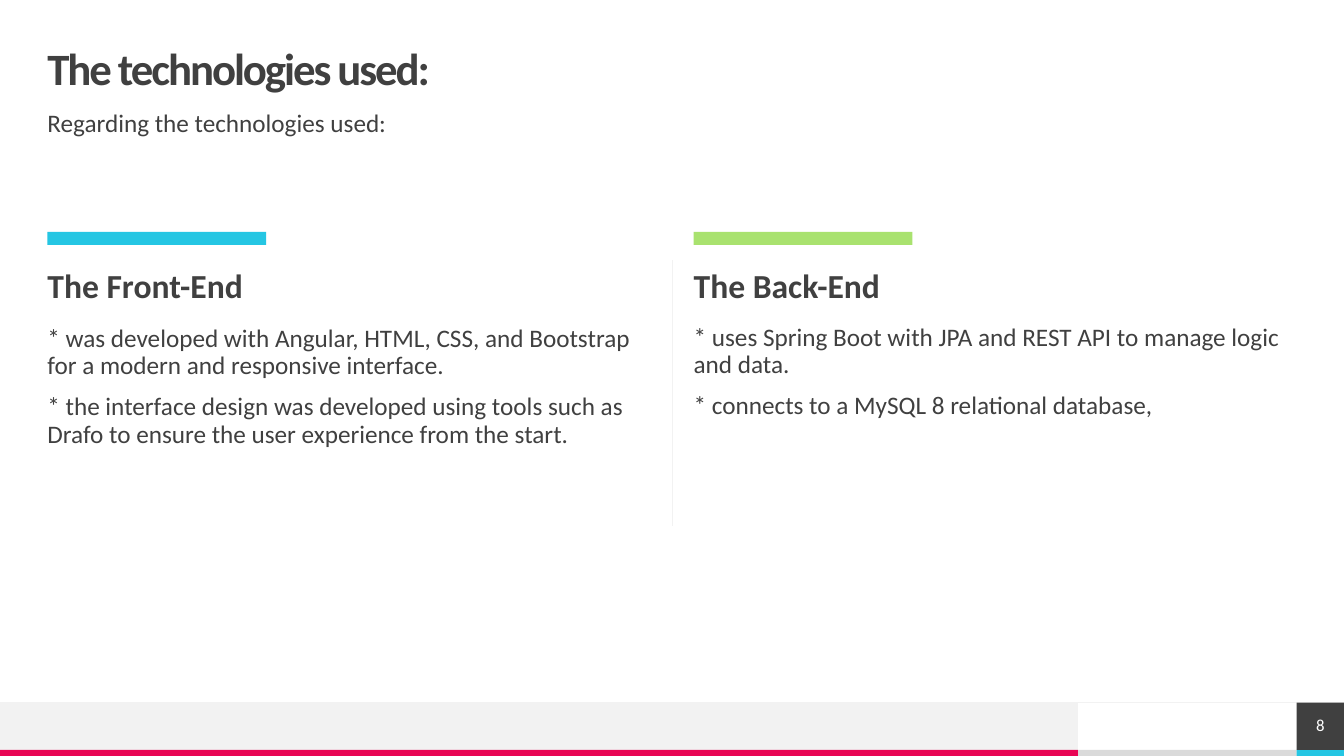
import pptx
import pptx.util
import pptx.dml.color
import pptx.enum.shapes
import pptx.enum.text
import pptx.oxml

Inches = pptx.util.Inches
Pt = pptx.util.Pt
RGBColor = pptx.dml.color.RGBColor

DARK = RGBColor(0x40, 0x40, 0x40)
WHITE = RGBColor(0xFF, 0xFF, 0xFF)
PALE = RGBColor(0xF2, 0xF2, 0xF2)
GREY = RGBColor(0xDA, 0xDA, 0xDA)
PINK = RGBColor(0xE8, 0x05, 0x54)
CYAN = RGBColor(0x25, 0xC6, 0xE3)
GREEN = RGBColor(0xA9, 0xE2, 0x6F)

WIDTH, HEIGHT = 13.33, 7.5
MARGIN = 0.47
CONTENT_WIDTH = WIDTH - 2 * MARGIN
COLUMN_WIDTH = 5.98
COLUMN_STEP = CONTENT_WIDTH - COLUMN_WIDTH
ACCENT_WIDTH = 2.17
STRIPE_HEIGHT = 0.06
STRIPE_TOP = HEIGHT - STRIPE_HEIGHT
FOOTER_TOP = STRIPE_TOP - MARGIN
NUMBER_LEFT = WIDTH - MARGIN
LOGO_LEFT = NUMBER_LEFT - ACCENT_WIDTH

presentation = pptx.Presentation()
presentation.slide_width = Inches(WIDTH)
presentation.slide_height = Inches(HEIGHT)
slide = presentation.slides.add_slide(presentation.slide_layouts[5])
shapes = slide.shapes


def add_bar(left, top, width, height, color):
    bar = shapes.add_shape(
        pptx.enum.shapes.MSO_SHAPE.RECTANGLE,
        Inches(left), Inches(top), Inches(width), Inches(height))
    bar.shadow.inherit = False
    bar.fill.solid()
    bar.fill.fore_color.rgb = color
    bar.line.fill.background()
    return bar


def write(shape, lines, size, color=DARK, bold=False,
          anchor=pptx.enum.text.MSO_ANCHOR.TOP,
          alignment=pptx.enum.text.PP_ALIGN.LEFT):
    frame = shape.text_frame
    frame.text = "\n".join(lines)
    frame_format = {
        "word_wrap": True, "auto_size": pptx.enum.text.MSO_AUTO_SIZE.NONE,
        "vertical_anchor": anchor, "margin_left": 0, "margin_top": 0,
        "margin_right": 0, "margin_bottom": 0}
    for name, value in frame_format.items():
        setattr(frame, name, value)
    font_format = {"name": "Calibri", "size": Pt(size), "bold": bold}
    for index, paragraph in enumerate(frame.paragraphs):
        paragraph.alignment = alignment
        paragraph.line_spacing = 0.9
        paragraph.space_before = Pt(10 if index else 0)
        for run in paragraph.runs:
            for name, value in font_format.items():
                setattr(run.font, name, value)
            run.font.color.rgb = color


for left, top, width, height, color in [
    (LOGO_LEFT, STRIPE_TOP, ACCENT_WIDTH, STRIPE_HEIGHT, GREY),
    (0, FOOTER_TOP, LOGO_LEFT, MARGIN, PALE),
    (0, STRIPE_TOP, LOGO_LEFT, STRIPE_HEIGHT, PINK),
    (NUMBER_LEFT, STRIPE_TOP, MARGIN, STRIPE_HEIGHT, CYAN),
]:
    add_bar(left, top, width, height, color)

for start_x, start_y, end_x, end_y in [
    (WIDTH, FOOTER_TOP, 0, FOOTER_TOP),
    (WIDTH / 2, 2.58, WIDTH / 2, 5.22),
]:
    rule = shapes.add_connector(
        pptx.enum.shapes.MSO_CONNECTOR.STRAIGHT,
        Inches(start_x), Inches(start_y), Inches(end_x), Inches(end_y))
    rule.line.color.rgb = PALE
    rule.line.width = Pt(0.5)
    rule._element.spPr.append(pptx.oxml.parse_xml(
        '<a:effectLst xmlns:a="http://schemas.openxmlformats.org/drawingml/2006/main"/>'))

title = shapes.title
title_place = {"left": MARGIN, "top": MARGIN, "width": CONTENT_WIDTH, "height": MARGIN}
for name, value in title_place.items():
    setattr(title, name, Inches(value))
write(title, ["The technologies used:"], 32, bold=True,
      anchor=pptx.enum.text.MSO_ANCHOR.MIDDLE)
title.text_frame.paragraphs[0].runs[0].font._element.set("spc", "-150")

subtitle = shapes.add_textbox(
    Inches(MARGIN), Inches(1.1), Inches(CONTENT_WIDTH), Inches(0.39))
write(subtitle, ["Regarding the technologies used:"], 18)

columns = [
    (CYAN, "The Front-End", 3.23, [
        "* was developed with Angular, HTML, CSS, and Bootstrap for a modern "
        "and responsive interface.",
        "* the interface design was developed using tools such as Drafo to "
        "ensure the user experience from the start."]),
    (GREEN, "The Back-End", 3.22, [
        "* uses Spring Boot with JPA and REST API to manage logic and data.",
        "* connects to a MySQL 8 relational database,"]),
]
for index, (accent, heading, body_top, points) in enumerate(columns):
    left = MARGIN + index * COLUMN_STEP
    add_bar(left, 2.3, ACCENT_WIDTH, 0.13, accent)
    heading_box = shapes.add_textbox(
        Inches(left), Inches(2.67), Inches(COLUMN_WIDTH), Inches(0.39))
    write(heading_box, [heading], 24, bold=True)
    body_box = shapes.add_textbox(
        Inches(left), Inches(body_top), Inches(COLUMN_WIDTH), Inches(2.4))
    write(body_box, points, 18)

number = add_bar(NUMBER_LEFT, FOOTER_TOP, MARGIN, MARGIN, DARK)
write(number, ["8"], 12, color=WHITE,
      anchor=pptx.enum.text.MSO_ANCHOR.MIDDLE,
      alignment=pptx.enum.text.PP_ALIGN.CENTER)

presentation.save("out.pptx")
